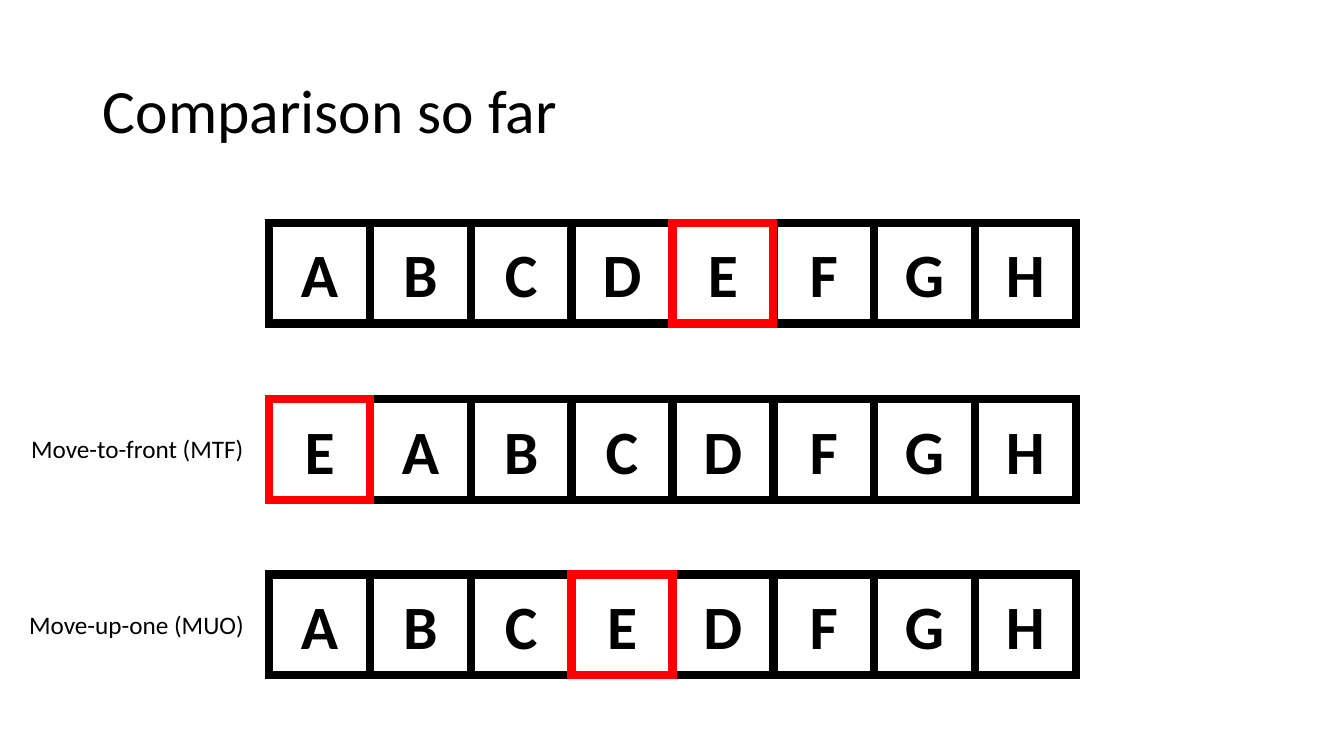
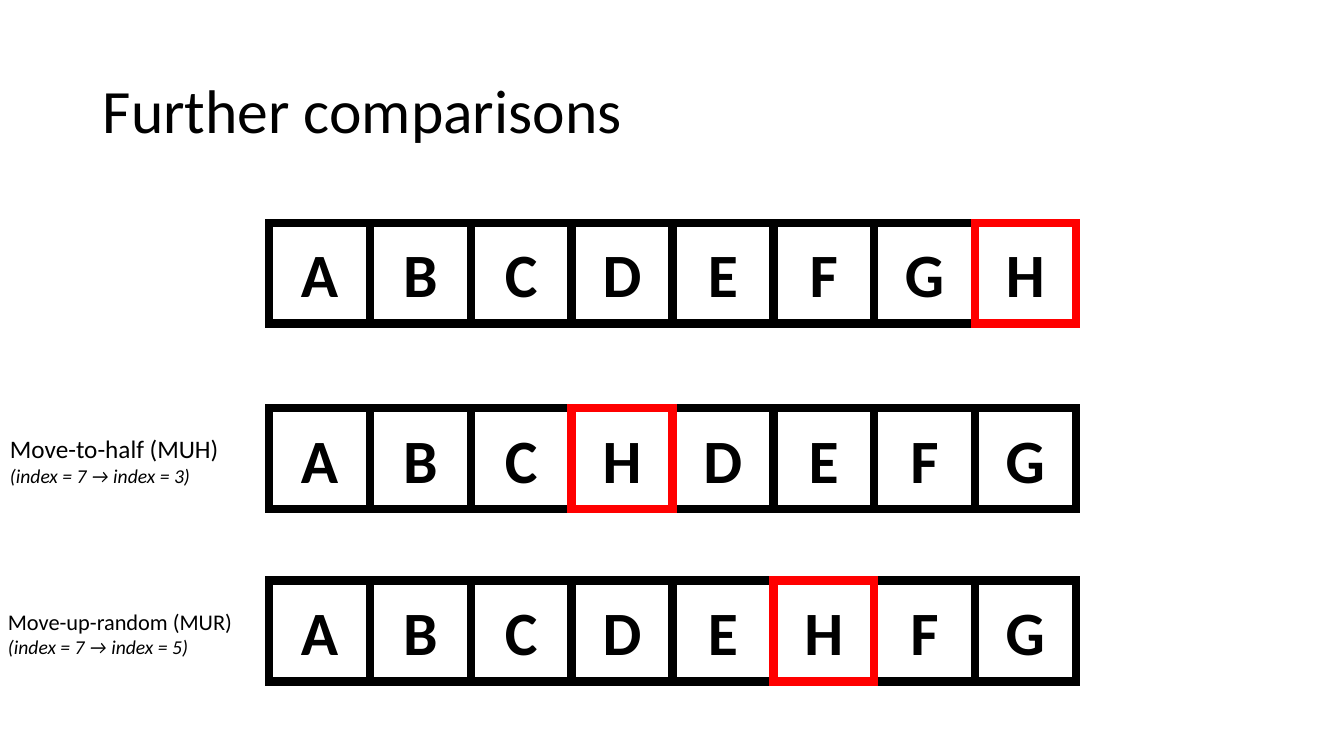
"""Draw the list reordering rules as rows of lettered cells on two slides."""
from dataclasses import dataclass

from lxml.etree import SubElement
from pptx import Presentation
from pptx.dml.color import RGBColor
from pptx.enum.shapes import MSO_SHAPE
from pptx.enum.text import MSO_ANCHOR, MSO_AUTO_SIZE, PP_ALIGN
from pptx.oxml.ns import qn
from pptx.slide import Slide
from pptx.text.text import TextFrame
from pptx.util import Inches, Pt


@dataclass(frozen=True)
class Theme:
    font: str = "Calibri"
    ink: RGBColor = RGBColor(0, 0, 0)
    hot: RGBColor = RGBColor(255, 0, 0)
    paper: RGBColor = RGBColor(255, 255, 255)
    big: int = 44
    label: int = 18
    small: int = 16
    detail: int = 14
    border: int = 6


@dataclass(frozen=True)
class Row:
    top: float
    items: str
    moved: str


@dataclass(frozen=True)
class Label:
    left: float
    top: float
    width: float
    height: float
    text: str
    size: int
    detail: str = ""


@dataclass(frozen=True)
class Page:
    title: str
    rows: tuple[Row, ...]
    labels: tuple[Label, ...]


THEME = Theme()
START = 2.67
SIDE = 1

PAGES = (
    Page(
        "Comparison so far",
        (Row(2.21, "ABCDEFGH", "E"), Row(3.96, "EABCDFGH", "E"), Row(5.7, "ABCEDFGH", "E")),
        (
            Label(0.21, 4.25, 2.33, 0.4, "Move-to-front (MTF)", THEME.label),
            Label(0.19, 6, 2.51, 0.4, "Move-up-one (MUO)", THEME.label),
        ),
    ),
    Page(
        "Further comparisons",
        (Row(2.21, "ABCDEFGH", "H"), Row(4.05, "ABCHDEFG", "H"), Row(5.76, "ABCDEHFG", "H")),
        (
            Label(0, 4.25, 2.63, 0.64, "Move-to-half (MUH)", THEME.label,
                  "(index = 7 → index = 3)"),
            Label(-0.02, 5.98, 2.78, 0.91, "Move-up-random (MUR)", THEME.small,
                  "(index = 7 → index = 5)"),
        ),
    ),
)


def write(frame: TextFrame, text: str, *, size: int, bold: bool = False,
          italic: bool = False, align: PP_ALIGN = PP_ALIGN.LEFT,
          spacing: float = 1.0, more: bool = False) -> None:
    """Write one formatted paragraph, after the others when more is set."""
    para = frame.add_paragraph() if more else frame.paragraphs[0]
    para.alignment = align
    para.line_spacing = spacing
    run = para.add_run()
    run.text = text
    font = run.font
    font.name = THEME.font
    font.size = Pt(size)
    font.bold = bold
    font.italic = italic
    font.color.rgb = THEME.ink


def head(slide: Slide, text: str) -> None:
    """Place and fill the title placeholder."""
    title = slide.shapes.title
    title.left, title.top = Inches(0.92), Inches(0.4)
    title.width, title.height = Inches(11.5), Inches(1.45)
    frame = title.text_frame
    frame.auto_size = MSO_AUTO_SIZE.NONE
    frame.vertical_anchor = MSO_ANCHOR.MIDDLE
    write(frame, text, size=THEME.big, spacing=0.9)


def cell(slide: Slide, left: float, top: float, text: str, color: RGBColor) -> None:
    """Draw one square cell with its letter."""
    box = slide.shapes.add_shape(MSO_SHAPE.RECTANGLE, Inches(left), Inches(top),
                                 Inches(SIDE), Inches(SIDE))
    box.shadow.inherit = False
    box.fill.background()
    box.line.color.rgb = color
    box.line.width = Pt(THEME.border)
    SubElement(box.element.spPr.ln, qn("a:miter"), lim="800000")
    box.text_frame.vertical_anchor = MSO_ANCHOR.MIDDLE
    write(box.text_frame, text, size=THEME.big, bold=True, align=PP_ALIGN.CENTER)


def strip(slide: Slide, row: Row) -> None:
    """Draw a row of cells with the moved one on top."""
    for index, item in sorted(enumerate(row.items), key=lambda pair: pair[1] == row.moved):
        color = THEME.hot if item == row.moved else THEME.ink
        cell(slide, START + index * SIDE, row.top, item, color)


def note(slide: Slide, label: Label) -> None:
    """Add the rule name and its detail beside a row."""
    box = slide.shapes.add_textbox(Inches(label.left), Inches(label.top),
                                   Inches(label.width), Inches(label.height))
    frame = box.text_frame
    frame.word_wrap = True
    write(frame, label.text, size=label.size)
    if label.detail:
        write(frame, label.detail, size=THEME.detail, italic=True, more=True)


def main() -> None:
    """Build and save the deck."""
    deck = Presentation()
    deck.slide_width, deck.slide_height = Inches(13.33), Inches(7.5)
    fill = deck.slide_master.background.fill
    fill.solid()
    fill.fore_color.rgb = THEME.paper
    for page in PAGES:
        slide = deck.slides.add_slide(deck.slide_layouts[5])
        head(slide, page.title)
        for row in page.rows:
            strip(slide, row)
        for label in page.labels:
            note(slide, label)
    deck.save("out.pptx")


main()
